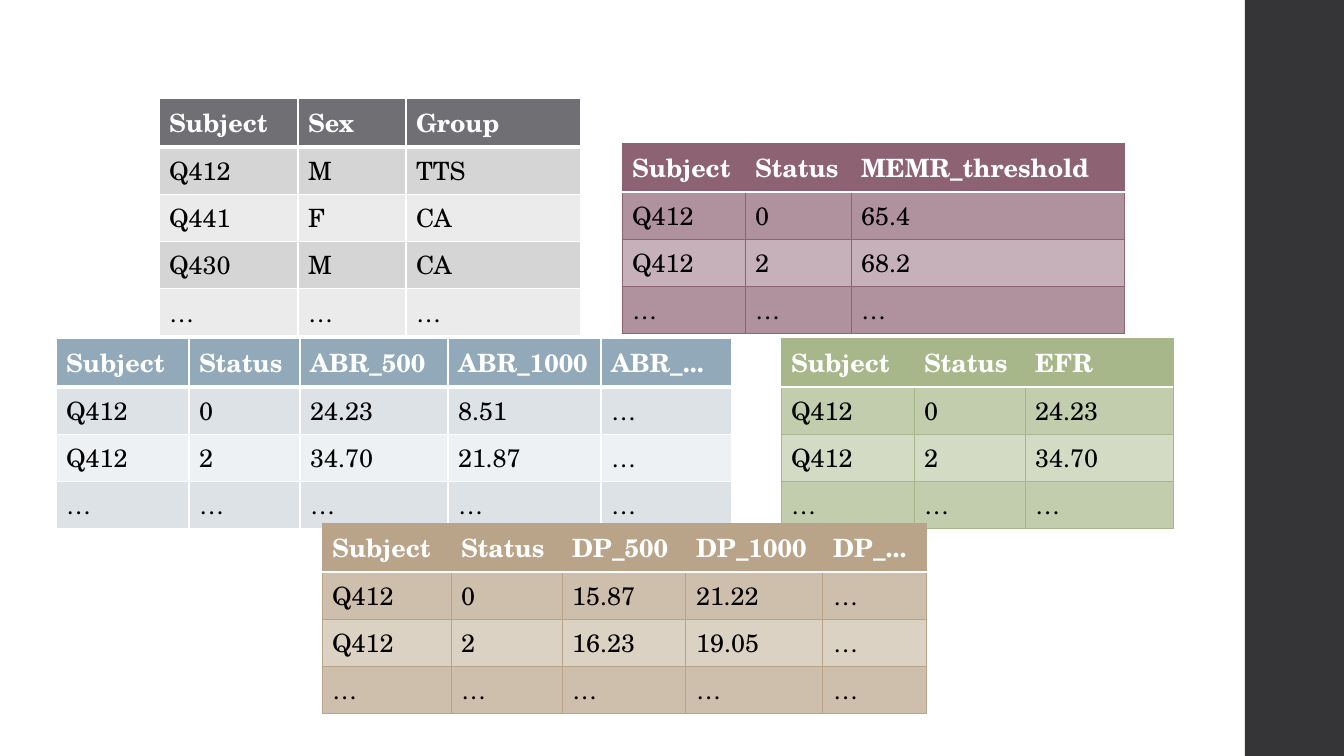
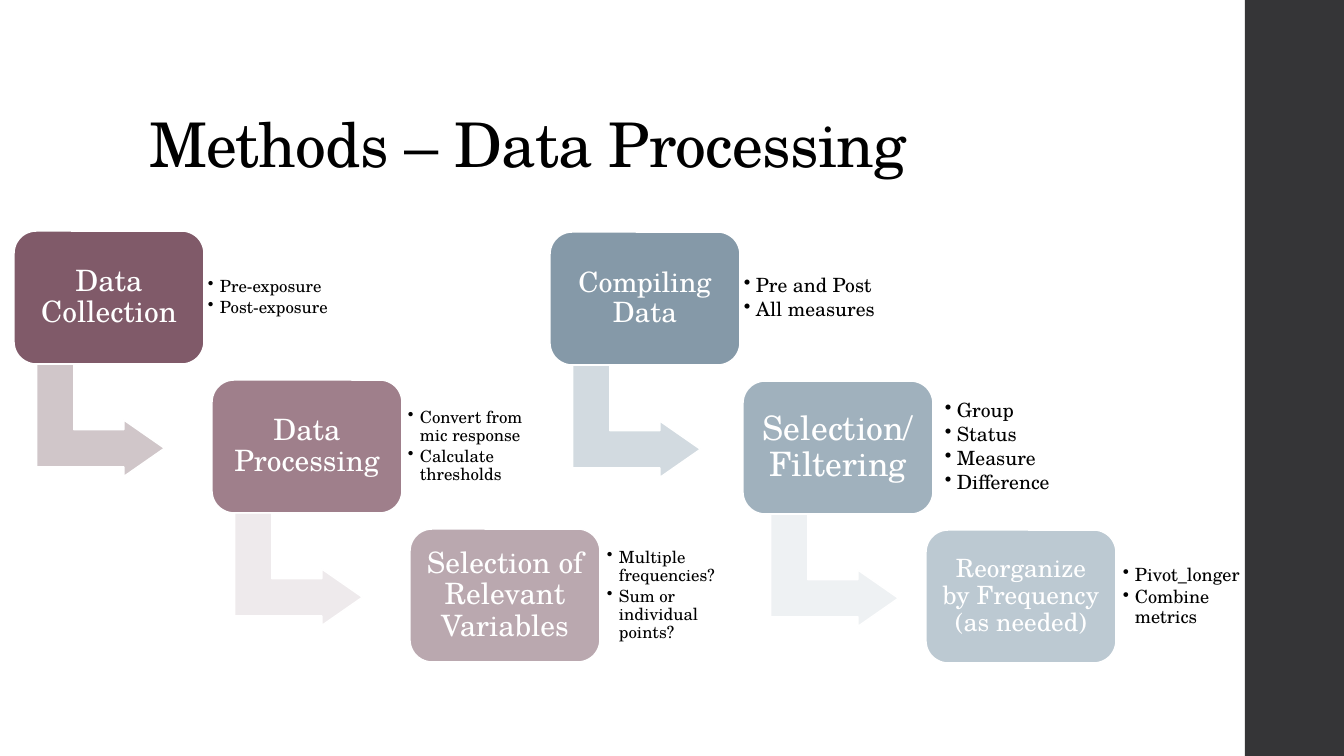
from lxml import etree
from pptx import Presentation
from pptx import util as u
from pptx.dml.color import RGBColor
from pptx.enum import shapes, text
from pptx.oxml import ns

PX = 12192000 / 1344
WIDTH, HEIGHT = 1344, 756
FONT = "TeX Gyre Schola"

WHITE = RGBColor(0xFF, 0xFF, 0xFF)
BLACK = RGBColor(0, 0, 0)
CHARCOAL = RGBColor(0x35, 0x35, 0x37)
GRAY = RGBColor(0x6F, 0x6F, 0x74)
GRAY_BANDS = RGBColor(0xD5, 0xD5, 0xD6), RGBColor(0xEB, 0xEB, 0xEB)
BLUE = RGBColor(0x92, 0xA9, 0xB9)
BLUE_BANDS = RGBColor(0xDC, 0xE2, 0xE6), RGBColor(0xEE, 0xF1, 0xF3)
GREEN = RGBColor(0xA7, 0xB7, 0x89)
TAN = RGBColor(0xB9, 0xA4, 0x89)
PLUM = RGBColor(0x8D, 0x63, 0x74)
PLUM_BOXES = (RGBColor(0x80, 0x5A, 0x69), RGBColor(0x9F, 0x7F, 0x8B),
              RGBColor(0xBA, 0xA8, 0xAF))
PLUM_ARROWS = RGBColor(0xD0, 0xC6, 0xC9), RGBColor(0xEE, 0xEA, 0xEC)
BLUE_BOXES = (RGBColor(0x85, 0x99, 0xA8), RGBColor(0xA0, 0xB1, 0xBD),
              RGBColor(0xBC, 0xC9, 0xD2))
BLUE_ARROWS = RGBColor(0xD2, 0xDA, 0xE0), RGBColor(0xEE, 0xF1, 0xF3)

HEADER_HEIGHT, ROW_HEIGHT = 49, 47
BOX_WIDTH, BOX_HEIGHT = 190, 133
STEP_X, STEP_Y = 198, 149


def px(*lengths):
    return [u.Emu(round(length * PX)) for length in lengths]


def tint(color, share):
    return RGBColor(*(round(255 - share * (255 - part)) for part in color))


def write(frame, lines, size=18, color=BLACK, bold=False, align=None,
          anchor=None, inset=None, line_spacing=None, space_after=None,
          tracking=None, bullet=False):
    frame.word_wrap = True
    if anchor is not None:
        frame.vertical_anchor = anchor
    if inset is not None:
        margin = px(inset)[0]
        frame.margin_left = frame.margin_right = margin
        frame.margin_top = frame.margin_bottom = margin
    for index, line in enumerate(lines):
        paragraph = frame.add_paragraph() if index else frame.paragraphs[0]
        paragraph.alignment = align
        paragraph.line_spacing = line_spacing
        if space_after is not None:
            paragraph.space_after = u.Pt(space_after)
        run = paragraph.add_run()
        run.text = line
        font = run.font
        font.name, font.size, font.bold = FONT, u.Pt(size), bold
        font.color.rgb = color
        if tracking is not None:
            run._r.get_or_add_rPr().set("spc", str(tracking))
        if bullet:
            properties = paragraph._p.get_or_add_pPr()
            indent = px(12)[0]
            properties.set("marL", str(indent))
            properties.set("indent", str(-indent))
            etree.SubElement(properties, ns.qn("a:buChar")).set("char", "•")


def add_block(container, kind, box, fill, line=None):
    shape = container.add_shape(kind, *px(*box))
    shape.shadow.inherit = False
    shape.fill.solid()
    shape.fill.fore_color.rgb = fill
    if line is None:
        shape.line.fill.background()
    else:
        shape.line.color.rgb = line
        shape.line.width = u.Pt(1.1)
    return shape


def set_borders(cell, **borders):
    properties = cell._tc.get_or_add_tcPr()
    for index, side in enumerate("LRTB"):
        color, points = borders[side]
        line = etree.Element(ns.qn(f"a:ln{side}"), w=str(u.Pt(points)))
        fill = etree.SubElement(line, ns.qn("a:solidFill"))
        etree.SubElement(fill, ns.qn("a:srgbClr")).set("val", str(color))
        properties.insert(index, line)


def add_data_table(slide, left, top, widths, rows, accent, bands, edge, rule):
    height = HEADER_HEIGHT + ROW_HEIGHT * (len(rows) - 1)
    frame = slide.shapes.add_table(
        len(rows), len(widths), *px(left, top, sum(widths), height))
    table = frame.table
    table.horz_banding = False
    for column, width in zip(table.columns, px(*widths)):
        column.width = width
    for index, values in enumerate(rows):
        header = index == 0
        table.rows[index].height = px(HEADER_HEIGHT if header else ROW_HEIGHT)[0]
        for cell, value in zip(table.rows[index].cells, values):
            cell.fill.solid()
            cell.fill.fore_color.rgb = accent if header else bands[(index - 1) % 2]
            write(cell.text_frame, [value], bold=header,
                  color=WHITE if header else BLACK)
            set_borders(cell, L=edge, R=edge, T=rule if index == 1 else edge,
                        B=rule if header else edge)


def add_solid_table(slide, left, top, widths, rows, accent, bands):
    add_data_table(slide, left, top, widths, rows, accent, bands,
                   (WHITE, 1), (WHITE, 3))


def add_tinted_table(slide, left, top, widths, rows, accent):
    bands = tint(accent, 0.7), tint(accent, 0.5)
    add_data_table(slide, left, top, widths, rows, accent, bands,
                   (accent, 0.75), (WHITE, 1.1))


def add_cascade(slide, left, top, steps, box_colors, arrow_colors):
    group = slide.shapes.add_group_shape().shapes
    for index, step in enumerate(steps):
        box_x, title, size, notes_x, notes_width, notes_size, notes = step
        y = top + index * STEP_Y
        if index < len(arrow_colors):
            arrow = add_block(
                group, shapes.MSO_SHAPE.BENT_UP_ARROW,
                (left + 30 + index * STEP_X, y + 125, 113, 128),
                arrow_colors[index], WHITE)
            arrow.rotation = 90
            for number, value in enumerate((0.33, 0.25, 0.36)):
                arrow.adjustments[number] = value
        box = add_block(group, shapes.MSO_SHAPE.ROUNDED_RECTANGLE,
                        (left + box_x, y, BOX_WIDTH, BOX_HEIGHT),
                        box_colors[index], WHITE)
        write(box.text_frame, [title], size=size, color=WHITE, inset=8,
              align=text.PP_ALIGN.CENTER, anchor=text.MSO_ANCHOR.MIDDLE,
              line_spacing=0.9)
        note = group.add_textbox(
            *px(left + box_x + notes_x, y + 13, notes_width, 107))
        write(note.text_frame, notes, size=notes_size, inset=7, bullet=True,
              anchor=text.MSO_ANCHOR.MIDDLE, line_spacing=0.9, space_after=2)


def add_side_band(presentation, slide):
    band = add_block(slide.shapes, shapes.MSO_SHAPE.RECTANGLE,
                     (1245, 0, 101, HEIGHT), CHARCOAL)
    band.width = presentation.slide_width - band.left
    presentation.slide_master.shapes.element.append(band.element)


def build_tables_slide(slide):
    add_solid_table(slide, 159, 98, (139, 108, 175), [
        ("Subject", "Sex", "Group"),
        ("Q412", "M", "TTS"),
        ("Q441", "F", "CA"),
        ("Q430", "M", "CA"),
        ("…",) * 3], GRAY, GRAY_BANDS)
    add_solid_table(slide, 56, 338, (133, 111, 148, 153, 131), [
        ("Subject", "Status", "ABR_500", "ABR_1000", "ABR_..."),
        ("Q412", "0", "24.23", "8.51", "…"),
        ("Q412", "2", "34.70", "21.87", "…"),
        ("…",) * 5], BLUE, BLUE_BANDS)
    add_tinted_table(slide, 781, 338, (133, 111, 148), [
        ("Subject", "Status", "EFR"),
        ("Q412", "0", "24.23"),
        ("Q412", "2", "34.70"),
        ("…",) * 3], GREEN)
    add_tinted_table(slide, 322, 523, (129, 111, 124, 137, 104), [
        ("Subject", "Status", "DP_500", "DP_1000", "DP_..."),
        ("Q412", "0", "15.87", "21.22", "…"),
        ("Q412", "2", "16.23", "19.05", "…"),
        ("…",) * 5], TAN)
    add_tinted_table(slide, 622, 143, (123, 106, 274), [
        ("Subject", "Status", "MEMR_threshold"),
        ("Q412", "0", "65.4"),
        ("Q412", "2", "68.2"),
        ("…",) * 3], PLUM)


def build_methods_slide(slide):
    title = slide.shapes.title
    title.left, title.top, title.width, title.height = px(139, 40, 1068, 146)
    write(title.text_frame, ["Methods – Data Processing"], size=44,
          align=text.PP_ALIGN.LEFT, anchor=text.MSO_ANCHOR.BOTTOM,
          line_spacing=0.9, tracking=-50)
    add_cascade(slide, 14, 231, [
        (0, "Data Collection", 21, 187, 307, 12,
         ["Pre-exposure", "Post-exposure"]),
        (198, "Data Processing", 21, 189, 138, 12,
         ["Convert from mic response", "Calculate thresholds"]),
        (396, "Selection of Relevant Variables", 21, 190, 138, 12,
         ["Multiple frequencies?", "Sum or individual points?"]),
    ], PLUM_BOXES, PLUM_ARROWS)
    add_cascade(slide, 550, 232, [
        (0, "Compiling Data", 20, 187, 307, 14,
         ["Pre and Post", "All measures"]),
        (193, "Selection/Filtering", 24, 195, 138, 14,
         ["Group", "Status", "Measure", "Difference"]),
        (376, "Reorganize by Frequency (as needed)", 18, 190, 138, 13,
         ["Pivot_longer", "Combine metrics"]),
    ], BLUE_BOXES, BLUE_ARROWS)


def main():
    presentation = Presentation()
    presentation.slide_width, presentation.slide_height = px(WIDTH, HEIGHT)
    layouts = presentation.slide_layouts
    tables_slide = presentation.slides.add_slide(layouts.get_by_name("Blank"))
    methods_slide = presentation.slides.add_slide(layouts.get_by_name("Title Only"))
    add_side_band(presentation, tables_slide)
    build_tables_slide(tables_slide)
    build_methods_slide(methods_slide)
    presentation.save("out.pptx")


if __name__ == "__main__":
    main()
